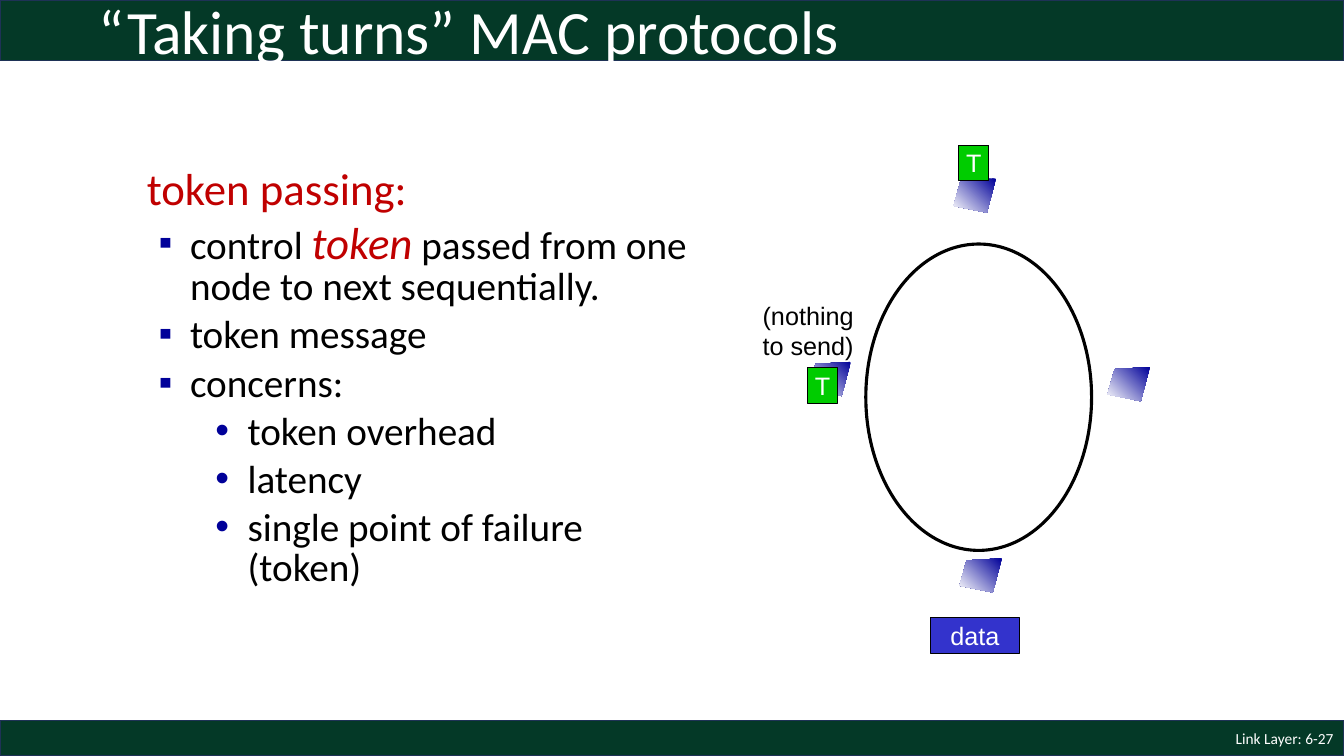
from lxml.etree import SubElement
from pptx import Presentation
from pptx.dml.color import RGBColor
from pptx.enum.shapes import MSO_SHAPE
from pptx.enum.text import MSO_ANCHOR, PP_ALIGN
from pptx.oxml.ns import qn
from pptx.util import Cm, Pt

WHITE = RGBColor(0xFF, 0xFF, 0xFF)
BLACK = RGBColor(0x00, 0x00, 0x00)
BAND_GREEN = RGBColor(0x04, 0x39, 0x27)
BAND_EDGE = RGBColor(0x1E, 0x32, 0x56)
ACCENT_RED = RGBColor(0xC0, 0x00, 0x00)
NAVY = RGBColor(0x00, 0x00, 0x99)
TOKEN_GREEN = RGBColor(0x00, 0xCC, 0x00)
DATA_BLUE = RGBColor(0x33, 0x33, 0xCC)

SLIDE_WIDTH, SLIDE_HEIGHT = 33.87, 19.05
NODE_OUTLINE = [(1.07, 0), (0.18, 0.05), (0, 0.69), (0.84, 0.86)]
NODE_PLACES = [(27.91, 9.25), (20.37, 9.12), (24.03, 4.5), (24.18, 14.07)]

HEADING = {"size": 32, "color": ACCENT_RED}
KEYWORD = {"size": 32, "color": ACCENT_RED, "italic": True}
BODY = {"size": 28, "color": BLACK}
BODY_BOLD = {**BODY, "bold": True}
LABEL = {"name": "Arial", "size": 18, "color": WHITE}
NOTE = {**LABEL, "color": BLACK}

LEVELS = {
    "heading": {"level": 0, "left": 0.97, "hanging": 0.97, "bullet": None},
    "point": {"level": 0, "left": 1.09, "hanging": 0.79, "bullet": "▪"},
    "detail": {"level": 1, "left": 2.54, "hanging": 0.81, "bullet": "•"},
}
CONTENT = [
    ("heading", [("token passing:", HEADING)]),
    ("point", [
        ("control ", BODY),
        ("token", KEYWORD),
        (" ", BODY_BOLD),
        ("passed from one node to next sequentially.", BODY),
    ]),
    ("point", [("token message", BODY)]),
    ("point", [("concerns:", BODY)]),
    ("detail", [("token overhead", BODY)]),
    ("detail", [("latency", BODY)]),
    ("detail", [("single point of failure (token)", BODY)]),
]


def set_values(target, values):
    for name, value in values.items():
        setattr(target, name, value)


def add_span(para, text, style):
    span = para.add_run()
    span.text = text
    values = {"name": "Calibri", **style}
    span.font.color.rgb = values.pop("color")
    values["size"] = Pt(values["size"])
    set_values(span.font, values)


def add_text_box(page, place):
    box = page.shapes.add_textbox(*map(Cm, place))
    box.text_frame.word_wrap = True
    return box.text_frame


def add_line_of_text(page, place, text, style, para_values):
    frame = add_text_box(page, place)
    frame.vertical_anchor = MSO_ANCHOR.MIDDLE
    para = frame.paragraphs[0]
    set_values(para, para_values)
    add_span(para, text, style)


def add_preset(page, preset, place, fill, edge, edge_width):
    shape = page.shapes.add_shape(preset, *map(Cm, place))
    shape.shadow.inherit = False
    if fill is None:
        shape.fill.background()
    else:
        shape.fill.solid()
        shape.fill.fore_color.rgb = fill
    shape.line.color.rgb = edge
    shape.line.width = Pt(edge_width)
    return shape


def add_label(page, place, text, fill):
    shape = add_preset(page, MSO_SHAPE.RECTANGLE, place, fill, BLACK, 0.75)
    set_values(shape.text_frame, {
        "word_wrap": False, "vertical_anchor": MSO_ANCHOR.MIDDLE,
    })
    para = shape.text_frame.paragraphs[0]
    para.alignment = PP_ALIGN.CENTER
    add_span(para, text, LABEL)


def add_node(page, left, top):
    corners = [(Cm(left + x), Cm(top + y)) for x, y in NODE_OUTLINE]
    builder = page.shapes.build_freeform(*corners[0], scale=1.0)
    builder.add_line_segments(corners[1:], close=True)
    node = builder.convert_to_shape()
    node.shadow.inherit = False
    node.line.fill.background()
    node.fill.gradient()
    node.fill.gradient_angle = 225
    for stop, color, position in zip(node.fill.gradient_stops, (NAVY, WHITE), (0, 1)):
        stop.color.rgb = color
        stop.position = position


def format_level(para, level, left, hanging, bullet):
    para.level = level
    para.line_spacing = 0.85
    properties = para._p.get_or_add_pPr()
    properties.set("marL", str(Cm(left)))
    properties.set("indent", str(-Cm(hanging)))
    if bullet:
        bullet_color = SubElement(properties, qn("a:buClr"))
        SubElement(bullet_color, qn("a:srgbClr")).set("val", str(NAVY))
        SubElement(properties, qn("a:buFont")).set("typeface", "Arial")
        SubElement(properties, qn("a:buChar")).set("char", bullet)


def add_content(page, place):
    frame = add_text_box(page, place)
    for index, (kind, spans) in enumerate(CONTENT):
        para = frame.add_paragraph() if index else frame.paragraphs[0]
        format_level(para, **LEVELS[kind])
        if index:
            para.space_before = Pt(5.8)
        for text, style in spans:
            add_span(para, text, style)


def add_note(page, place, lines):
    frame = add_text_box(page, place)
    for index, text in enumerate(lines):
        para = frame.add_paragraph() if index else frame.paragraphs[0]
        add_span(para, text, NOTE)


def main():
    deck = Presentation()
    set_values(deck, {"slide_width": Cm(SLIDE_WIDTH), "slide_height": Cm(SLIDE_HEIGHT)})
    page = deck.slides.add_slide(deck.slide_layouts[6])

    for top, height in ((0, 1.52), (18.16, 0.89)):
        add_preset(page, MSO_SHAPE.RECTANGLE, (0, top, SLIDE_WIDTH, height),
                   BAND_GREEN, BAND_EDGE, 1)
    add_line_of_text(page, (26.24, 18.16, 7.62, 0.89), "Link Layer: 6-27",
                     {"size": 11, "color": WHITE}, {"alignment": PP_ALIGN.RIGHT})
    add_content(page, (3.45, 4.14, 14.43, 12.9))

    for left, top in NODE_PLACES:
        add_node(page, left, top)
    add_preset(page, MSO_SHAPE.OVAL, (21.82, 6.15, 5.69, 7.72), None, BLACK, 2.25)
    add_label(page, (24.16, 3.66, 0.76, 0.89), "T", TOKEN_GREEN)
    add_label(page, (23.44, 15.57, 2.26, 0.89), "data", DATA_BLUE)
    add_note(page, (18.97, 7.44, 3.1, 1.78), ("(nothing", "to send)"))
    add_label(page, (20.35, 9.27, 0.76, 0.89), "T", TOKEN_GREEN)

    add_line_of_text(page, (2.24, -0.38, 29.21, 2.49), "“Taking turns” MAC protocols",
                     {"size": 44, "color": WHITE}, {"line_spacing": 0.9})
    deck.save("out.pptx")


if __name__ == "__main__":
    main()
